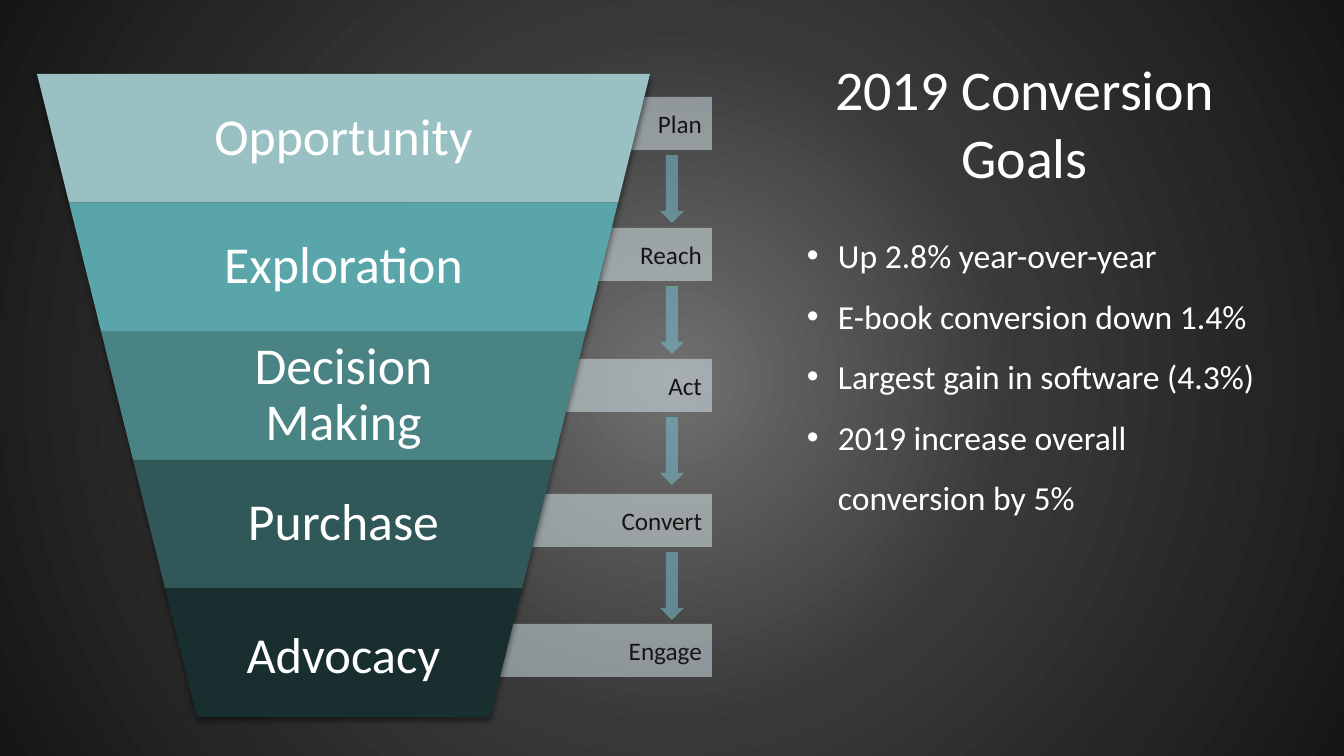
from dataclasses import dataclass

from lxml import etree
from pptx import Presentation
from pptx.dml.color import RGBColor
from pptx.enum.shapes import MSO_SHAPE
from pptx.enum.text import MSO_ANCHOR, PP_ALIGN
from pptx.oxml import parse_xml
from pptx.oxml.ns import nsdecls, qn
from pptx.util import Pt

PROCESS, TRAPEZOID, DOWN_ARROW = (
    MSO_SHAPE.FLOWCHART_PROCESS, MSO_SHAPE.TRAPEZOID, MSO_SHAPE.DOWN_ARROW)
LEFT, CENTER, RIGHT = PP_ALIGN.LEFT, PP_ALIGN.CENTER, PP_ALIGN.RIGHT
TOP, MIDDLE = MSO_ANCHOR.TOP, MSO_ANCHOR.MIDDLE

# Content
TITLE = "2019 Conversion Goals"
GOALS = [
    "Up 2.8% year-over-year",
    "E-book conversion down 1.4%",
    "Largest gain in software (4.3%)",
    "2019 increase overall conversion by 5%",
]
# Stage, fill, type size, label width as share of tier, label drop in px
TIERS = [
    ("Opportunity", "99C0C2", 37, 0.65, 0),
    ("Exploration", "59A5AA", 37, 0.65, 0),
    ("Decision Making", "498384", 37, 0.65, 0),
    ("Purchase", "315858", 37, 0.65, 0),
    ("Advocacy", "192F2F", 36, 0.88, 8),
]
# Action, left and top in px
ACTIONS = [
    ("Plan", 524, 97),
    ("Reach", 524, 228),
    ("Act", 524, 359),
    ("Convert", 524, 494),
    ("Engage", 498, 624),
]


@dataclass(frozen=True)
class Theme:
    font: str = "Calibri"
    light: str = "FFFFFF"
    dark: str = "161616"
    bar: str = "DDEDF2"
    arrow: str = "79C5D6"
    shadow: str = "000000"
    backdrop: tuple = ((0, "707070"), (46, "383838"), (100, "161616"))
    title_size: int = 40
    goal_size: int = 24
    action_size: int = 18


THEME = Theme()

# Layout in px
SLIDE_WIDTH, SLIDE_HEIGHT = 1344, 756
FUNNEL_LEFT, FUNNEL_WIDTH, FUNNEL_TOP, FUNNEL_BOTTOM = 37, 613, 74, 717
TIER_INSET, LABEL_MARGIN = 32, 5
BAR_RIGHT, BAR_HEIGHT = 712, 53
ARROW_LEFT, ARROW_WIDTH, ARROW_HEIGHT, ARROW_GAP = 660, 24, 68, 5
TITLE_BOX = (777, 50, 495, 146)
GOALS_BOX = (797, 210, 475, 315)
GOAL_INDENT = 31
TEXT_MARGINS = (10, 5)


def px(length):
    return round(length * 914400 / 100.8)


def add_shape(shapes, kind, box, color, opacity=100):
    shape = shapes.add_shape(kind, *map(px, box))
    shape.shadow.inherit = False
    shape.fill.solid()
    shape.fill.fore_color.rgb = RGBColor.from_string(color)
    shape.line.fill.background()
    if opacity < 100:
        tint = shape.element.spPr.find(qn("a:solidFill"))[0]
        etree.SubElement(tint, qn("a:alpha"), val=str(opacity * 1000))
    return shape


def add_tier_shadow(shape):
    effects = shape.element.spPr.find(qn("a:effectLst"))
    effects.append(parse_xml(
        f'<a:outerShdw {nsdecls("a")} blurRad="{Pt(4)}" dist="{Pt(3)}" '
        f'dir="5400000" rotWithShape="0"><a:srgbClr val="{THEME.shadow}">'
        '<a:alpha val="43000"/></a:srgbClr></a:outerShdw>'))


def write_text(shape, lines, size, color, align, anchor,
               margins=TEXT_MARGINS, spacing=None, bulleted=False):
    frame = shape.text_frame
    frame.word_wrap = True
    frame.vertical_anchor = anchor
    frame.margin_left = frame.margin_right = px(margins[0])
    frame.margin_top = frame.margin_bottom = px(margins[1])
    for index, line in enumerate(lines):
        paragraph = frame.add_paragraph() if index else frame.paragraphs[0]
        paragraph.alignment = align
        if spacing:
            paragraph.line_spacing = spacing
        if bulleted:
            properties = paragraph._p.get_or_add_pPr()
            properties.set("marL", str(px(GOAL_INDENT)))
            properties.set("indent", str(-px(GOAL_INDENT)))
            etree.SubElement(properties, qn("a:buFont"), typeface="Arial")
            etree.SubElement(properties, qn("a:buChar"), char="•")
        run = paragraph.add_run()
        run.text = line
        run.font.name = THEME.font
        run.font.size = Pt(size)
        run.font.color.rgb = RGBColor.from_string(color)


def paint_background(slide):
    slide.background.fill.solid()
    properties = slide.element.find(".//" + qn("p:bgPr"))
    stops = "".join(
        f'<a:gs pos="{position * 1000}"><a:srgbClr val="{color}"/></a:gs>'
        for position, color in THEME.backdrop)
    gradient = parse_xml(
        f'<a:gradFill {nsdecls("a")} rotWithShape="1"><a:gsLst>{stops}</a:gsLst>'
        '<a:path path="circle"><a:fillToRect l="50000" t="50000" r="50000" '
        'b="50000"/></a:path></a:gradFill>')
    properties.replace(properties.find(qn("a:solidFill")), gradient)


def draw_bars(slide):
    for action, left, top in ACTIONS:
        box = (left, top, BAR_RIGHT - left, BAR_HEIGHT)
        bar = add_shape(slide.shapes, PROCESS, box, THEME.bar, 50)
        write_text(bar, [action], THEME.action_size, THEME.dark, RIGHT, MIDDLE)


def draw_funnel(slide):
    funnel = slide.shapes.add_group_shape()
    height = (FUNNEL_BOTTOM - FUNNEL_TOP) / len(TIERS)
    for index, (stage, color, size, share, drop) in enumerate(TIERS):
        left = FUNNEL_LEFT + index * TIER_INSET
        width = FUNNEL_WIDTH - 2 * index * TIER_INSET
        top = FUNNEL_TOP + index * height
        tier = add_shape(funnel.shapes, TRAPEZOID, (left, top, width, height), color)
        tier.rotation = 180
        tier.adjustments[0] = TIER_INSET / height
        add_tier_shadow(tier)
        label_box = (left + width * (1 - share) / 2, top + drop,
                     width * share, height - drop)
        label = funnel.shapes.add_textbox(*map(px, label_box))
        write_text(label, [stage], size, THEME.light, CENTER, MIDDLE,
                   margins=(LABEL_MARGIN, LABEL_MARGIN), spacing=0.9)


def draw_arrows(slide):
    for _, _, bar_top in ACTIONS[:-1]:
        box = (ARROW_LEFT, bar_top + BAR_HEIGHT + ARROW_GAP, ARROW_WIDTH, ARROW_HEIGHT)
        add_shape(slide.shapes, DOWN_ARROW, box, THEME.arrow, 50)


def main():
    presentation = Presentation()
    presentation.slide_width = px(SLIDE_WIDTH)
    presentation.slide_height = px(SLIDE_HEIGHT)
    slide = presentation.slides.add_slide(presentation.slide_layouts[6])
    paint_background(slide)
    draw_bars(slide)
    draw_funnel(slide)

    # Title and goals
    title = slide.shapes.add_textbox(*map(px, TITLE_BOX))
    write_text(title, [TITLE], THEME.title_size, THEME.light, CENTER, TOP)
    draw_arrows(slide)
    goals = slide.shapes.add_textbox(*map(px, GOALS_BOX))
    write_text(goals, GOALS, THEME.goal_size, THEME.light, LEFT, TOP,
               spacing=1.5, bulleted=True)
    presentation.save("out.pptx")


if __name__ == "__main__":
    main()
